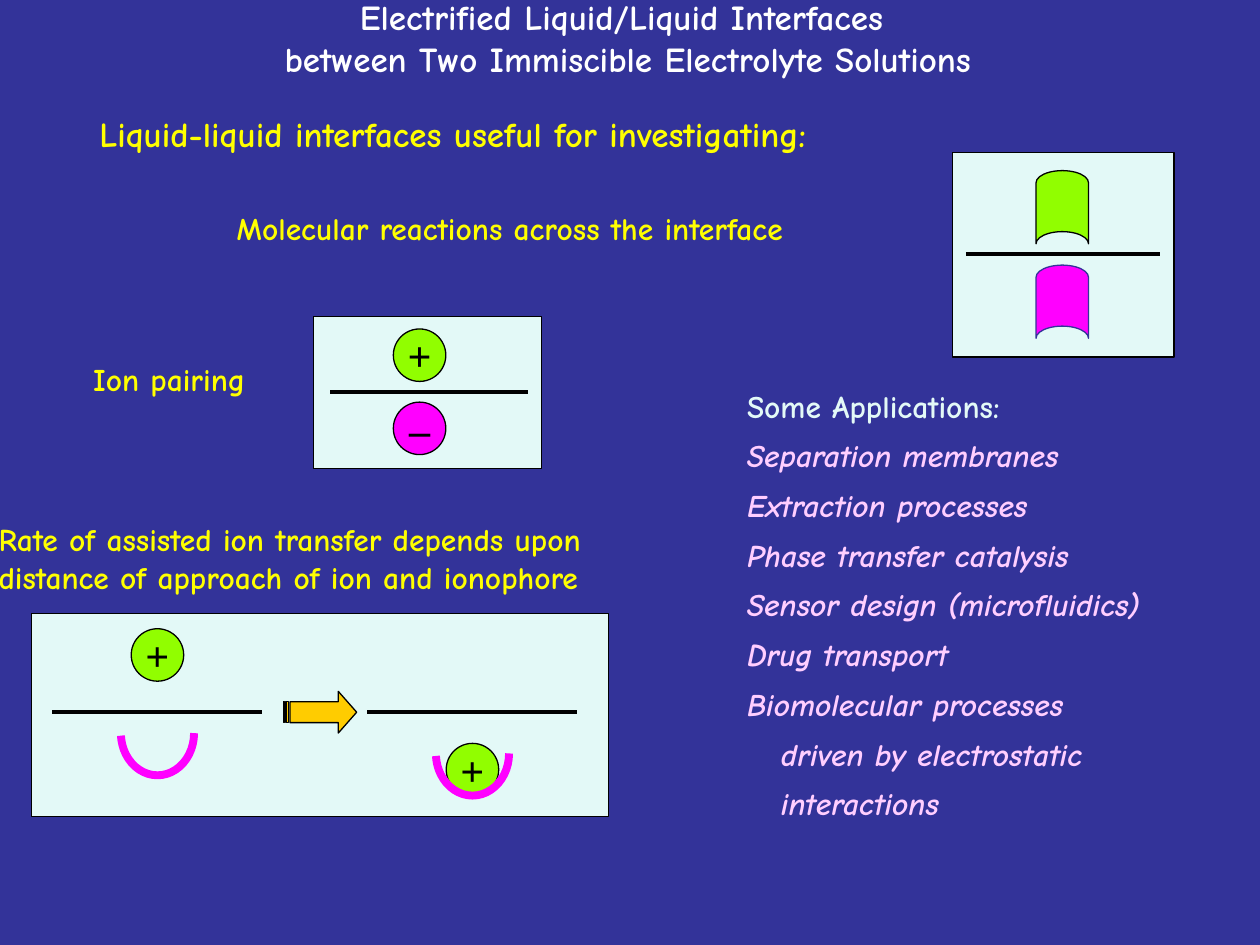
from lxml import etree
from pptx import Presentation
from pptx.dml.color import RGBColor
from pptx.enum.shapes import MSO_CONNECTOR, MSO_SHAPE as SHAPE
from pptx.enum.text import MSO_ANCHOR as ANCHOR, PP_ALIGN as ALIGN
from pptx.oxml.ns import qn
from pptx.util import Pt

NAVY = RGBColor(0x33, 0x33, 0x99)
WHITE = RGBColor(0xFF, 0xFF, 0xFF)
BLACK = RGBColor(0x00, 0x00, 0x00)
YELLOW = RGBColor(0xFF, 0xFF, 0x00)
PALE = RGBColor(0xE3, 0xF9, 0xF7)
PINK = RGBColor(0xFF, 0xCE, 0xFF)
GREEN = RGBColor(0x91, 0xFE, 0x00)
MAGENTA = RGBColor(0xFF, 0x00, 0xFF)
AMBER = RGBColor(0xFF, 0xCC, 0x00)

FONT = "Comic Neue"
ION_FONT = "Times New Roman"
ION_SIZE = 30
INDENT = 19.4

APPLICATIONS = [
    ("Separation membranes", 0),
    ("Extraction processes", 0),
    ("Phase transfer catalysis", 0),
    ("Sensor design (microfluidics)", 0),
    ("Drug transport", 0),
    ("Biomolecular processes", 0),
    ("driven by electrostatic", INDENT),
    ("interactions", INDENT),
]


def write(paragraph, text, size=18, color=YELLOW, font=FONT, italic=False,
          align=ALIGN.LEFT, before=0, indent=0):
    if indent:
        paragraph._p.get_or_add_pPr().set("marL", str(Pt(indent)))
    paragraph.text = text
    paragraph.alignment = align
    paragraph.space_before = Pt(before)
    paragraph.font.size = Pt(size)
    paragraph.font.name = font
    paragraph.font.bold = True
    paragraph.font.italic = italic
    paragraph.font.color.rgb = color


def add_text(slide, left, top, width, height, lines, anchor=ANCHOR.TOP, **style):
    frame = slide.shapes.add_textbox(Pt(left), Pt(top), Pt(width), Pt(height)).text_frame
    frame.word_wrap = True
    frame.vertical_anchor = anchor
    for number, line in enumerate(lines):
        paragraph = frame.add_paragraph() if number else frame.paragraphs[0]
        write(paragraph, line, **style)
    return frame


def add_shape(slide, kind, left, top, width, height, fill, line=BLACK, weight=0.75):
    shape = slide.shapes.add_shape(kind, Pt(left), Pt(top), Pt(width), Pt(height))
    shape.shadow.inherit = False
    if fill is None:
        shape.fill.background()
    else:
        shape.fill.solid()
        shape.fill.fore_color.rgb = fill
    shape.line.color.rgb = line
    shape.line.width = Pt(weight)
    return shape


def add_interface(slide, start, end, y):
    interface = slide.shapes.add_connector(
        MSO_CONNECTOR.STRAIGHT, Pt(start), Pt(y), Pt(end), Pt(y))
    interface.line.color.rgb = BLACK
    interface.line.width = Pt(2.25)
    etree.SubElement(interface._element.spPr, qn("a:effectLst"))


def add_ion(slide, center_x, center_y, charge, fill):
    ion = add_shape(slide, SHAPE.OVAL, center_x - ION_SIZE / 2, center_y - ION_SIZE / 2,
                    ION_SIZE, ION_SIZE, fill)
    frame = ion.text_frame
    frame.word_wrap = False
    frame.vertical_anchor = ANCHOR.MIDDLE
    write(frame.paragraphs[0], charge, size=24, color=BLACK, font=ION_FONT,
          align=ALIGN.CENTER)


def add_ionophore(slide, center_x, center_y):
    width, height = 48.2, 41.8
    cup = add_shape(slide, SHAPE.ARC, center_x - width / 2, center_y - height / 2,
                    width, height, None, MAGENTA, 4.5)
    cup.rotation = 90
    cup.adjustments[1] = 51.6  # 86 degrees, in units of 100000/60000


def add_molecule(slide, center_x, center_y, fill, line):
    width, height = 41.8, 30
    molecule = add_shape(slide, SHAPE.FLOWCHART_STORED_DATA, center_x - width / 2,
                         center_y - height / 2, width, height, fill, line)
    molecule.rotation = 90


def add_applications(slide):
    frame = add_text(slide, 419.8, 217.4, 277.9, 255.6, ["Some Applications:"], color=PALE)
    for text, indent in APPLICATIONS:
        write(frame.add_paragraph(), text, color=PINK, italic=True, before=6.8,
              indent=indent)


def add_ion_transfer(slide):
    add_shape(slide, SHAPE.RECTANGLE, 18, 350.6, 329.8, 115.9, PALE)
    # Before and after the transfer: centre x, ion y, ionophore y
    for center_x, ion_y, ionophore_y in [(90, 374.3, 419), (270, 439.8, 430.6)]:
        add_interface(slide, center_x - 60, center_x + 60, 406.8)
        add_ion(slide, center_x, ion_y, "+", GREEN)
        add_ionophore(slide, center_x, ionophore_y)
    arrow = add_shape(slide, SHAPE.STRIPED_RIGHT_ARROW, 162, 395.1, 41.8, 23.8, AMBER)
    arrow.adjustments[1] = 0.44


def add_ion_pairing(slide):
    add_shape(slide, SHAPE.RECTANGLE, 179.3, 180.7, 130, 87, PALE)
    add_interface(slide, 188.8, 301.8, 224)
    add_ion(slide, 239.8, 203, "+", GREEN)
    add_ion(slide, 239.8, 244.8, "–", MAGENTA)


def add_molecular_reaction(slide):
    add_shape(slide, SHAPE.RECTANGLE, 544.2, 87.1, 126.7, 117, PALE)
    add_interface(slide, 552, 663, 145.4)
    add_molecule(slide, 607, 118.4, GREEN, BLACK)
    add_molecule(slide, 607, 172.4, MAGENTA, NAVY)


def main():
    deck = Presentation()
    deck.slide_width, deck.slide_height = Pt(720), Pt(540)
    slide = deck.slides.add_slide(deck.slide_layouts[6])
    slide.background.fill.solid()
    slide.background.fill.fore_color.rgb = NAVY

    # Title and lead-in
    title = "Electrified Liquid/Liquid Interfaces \vbetween Two Immiscible Electrolyte Solutions"
    add_text(slide, 23, 2.9, 671.8, 36.7, [title], anchor=ANCHOR.MIDDLE, size=20,
             color=WHITE, align=ALIGN.CENTER)
    add_text(slide, 0, 60.5, 517.7, 31.7,
             ["Liquid-liquid interfaces useful for investigating:"],
             size=20, align=ALIGN.CENTER)

    # Applications
    add_applications(slide)

    # Assisted ion transfer
    add_ion_transfer(slide)
    add_text(slide, -7.9, 293.8, 398.9, 50.4,
             ["Rate of assisted ion transfer depends upon",
              "distance of approach of ion and ionophore"])

    # Ion pairing
    add_ion_pairing(slide)
    add_text(slide, 46.1, 202.3, 113.8, 28.8, ["Ion pairing"])

    # Molecular reactions
    add_molecular_reaction(slide)
    add_text(slide, 128.2, 115.9, 376.6, 28.8, ["Molecular reactions across the interface"])

    deck.save("out.pptx")


if __name__ == "__main__":
    main()
